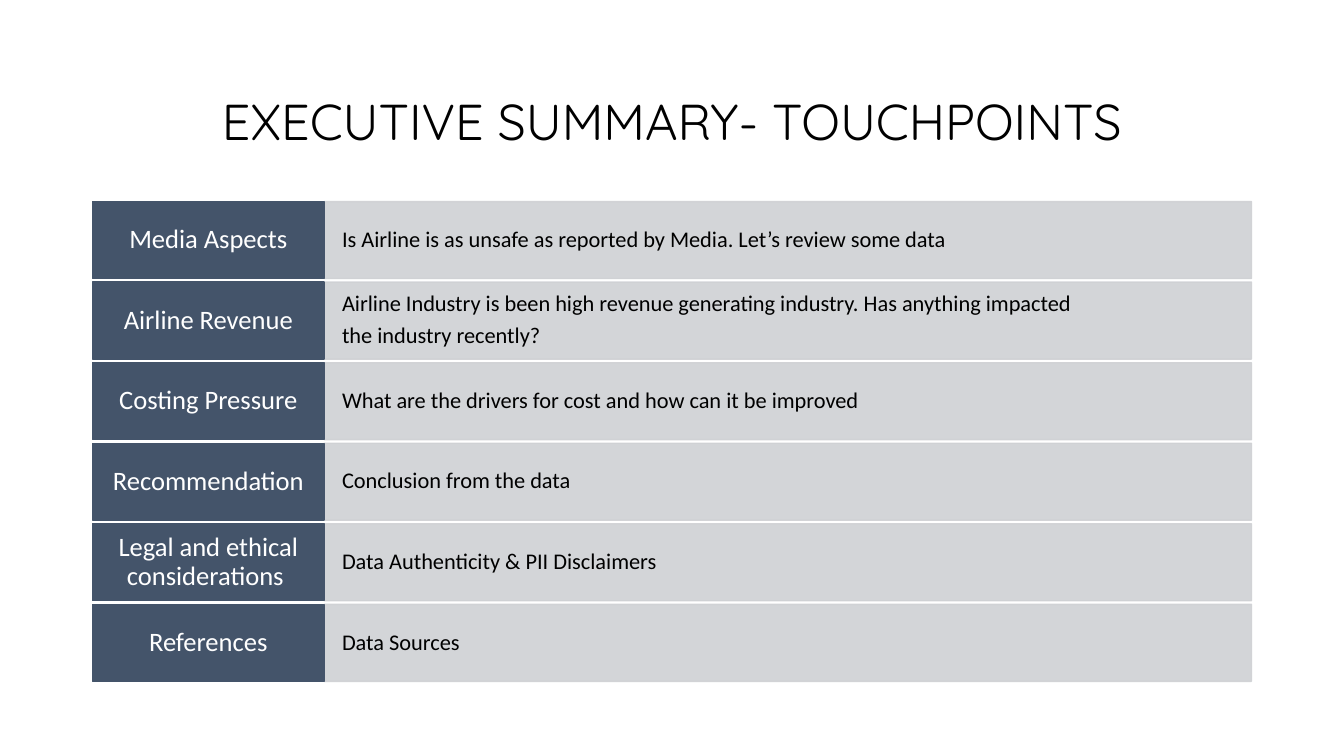
"""Build the executive summary slide with its rows of touchpoints."""
from lxml import etree
from pptx import Presentation
from pptx.dml.color import RGBColor
from pptx.enum.shapes import MSO_SHAPE
from pptx.enum.text import MSO_ANCHOR, PP_ALIGN
from pptx.oxml.ns import qn
from pptx.util import Cm, Pt

RECTANGLE = MSO_SHAPE.RECTANGLE
MIDDLE = MSO_ANCHOR.MIDDLE
LEFT, CENTER = PP_ALIGN.LEFT, PP_ALIGN.CENTER

COLORS = {"black": "000000", "white": "FFFFFF", "navy": "44546A", "gray": "CFD1D4"}

TOUCHPOINTS = [
    ("Media Aspects",
     "Is Airline is as unsafe as reported by Media. Let’s review some data"),
    ("Airline Revenue",
     "Airline Industry is been high revenue generating industry. Has anything impacted\n"
     "the industry recently?"),
    ("Costing Pressure", "What are the drivers for cost and how can it be improved"),
    ("Recommendation", "Conclusion from the data"),
    ("Legal and ethical considerations ", "Data Authenticity & PII Disclaimers"),
    ("References", "Data Sources"),
]

ROWS_LEFT, ROWS_TOP = 2.33, 5.08
ROW_PITCH, ROW_HEIGHT = 2.03, 1.94
LABEL_WIDTH, DETAIL_WIDTH = 5.84, 23.37


def color(name):
    return RGBColor.from_string(COLORS[name])


def write_text(shape, text, *, size, font="Calibri", ink="black", align=CENTER,
               space_after=0, margins=(0.25, 0.13)):
    frame = shape.text_frame
    frame.word_wrap = True
    frame.vertical_anchor = MIDDLE
    frame.margin_left = frame.margin_right = Cm(margins[0])
    frame.margin_top = frame.margin_bottom = Cm(margins[1])
    frame.text = text
    for paragraph in frame.paragraphs:
        paragraph.alignment = align
        paragraph.line_spacing = 0.9
        paragraph.space_before = Pt(0)
        paragraph.space_after = Pt(space_after)
        paragraph.font.size = Pt(size)
        paragraph.font.name = font
        paragraph.font.color.rgb = color(ink)


def set_opacity(shape, percent):
    for element in shape.fill._xPr.iter(qn("a:srgbClr")):
        etree.SubElement(element, qn("a:alpha"), val=str(percent * 1000))


def add_title(slide, text):
    title = slide.shapes.add_textbox(Cm(2.33), Cm(1.55), Cm(29.21), Cm(3.15))
    write_text(title, text, size=36, font="Quicksand", space_after=6)


def add_box(slide, left, top, width, fill):
    box = slide.shapes.add_shape(RECTANGLE, Cm(left), Cm(top), Cm(width), Cm(ROW_HEIGHT))
    box.shadow.inherit = False
    box.fill.solid()
    box.fill.fore_color.rgb = color(fill)
    box.line.color.rgb = color(fill)
    box.line.width = Pt(1)
    return box


def add_touchpoint(slide, top, label, detail):
    detail_box = add_box(slide, ROWS_LEFT + LABEL_WIDTH, top, DETAIL_WIDTH, "gray")
    set_opacity(detail_box, 90)
    write_text(detail_box, detail, size=16, align=LEFT, space_after=5.6,
               margins=(0.45, 0.48))
    label_box = add_box(slide, ROWS_LEFT, top, LABEL_WIDTH, "navy")
    write_text(label_box, label, size=19, ink="white", space_after=6.7,
               margins=(0.3, 0.18))


def main():
    presentation = Presentation()
    presentation.slide_width, presentation.slide_height = Cm(33.87), Cm(19.05)
    slide = presentation.slides.add_slide(presentation.slide_layouts[6])
    add_title(slide, "EXECUTIVE SUMMARY- TOUCHPOINTS")
    for row, (label, detail) in enumerate(TOUCHPOINTS):
        add_touchpoint(slide, ROWS_TOP + row * ROW_PITCH, label, detail)
    presentation.save("out.pptx")


if __name__ == "__main__":
    main()
